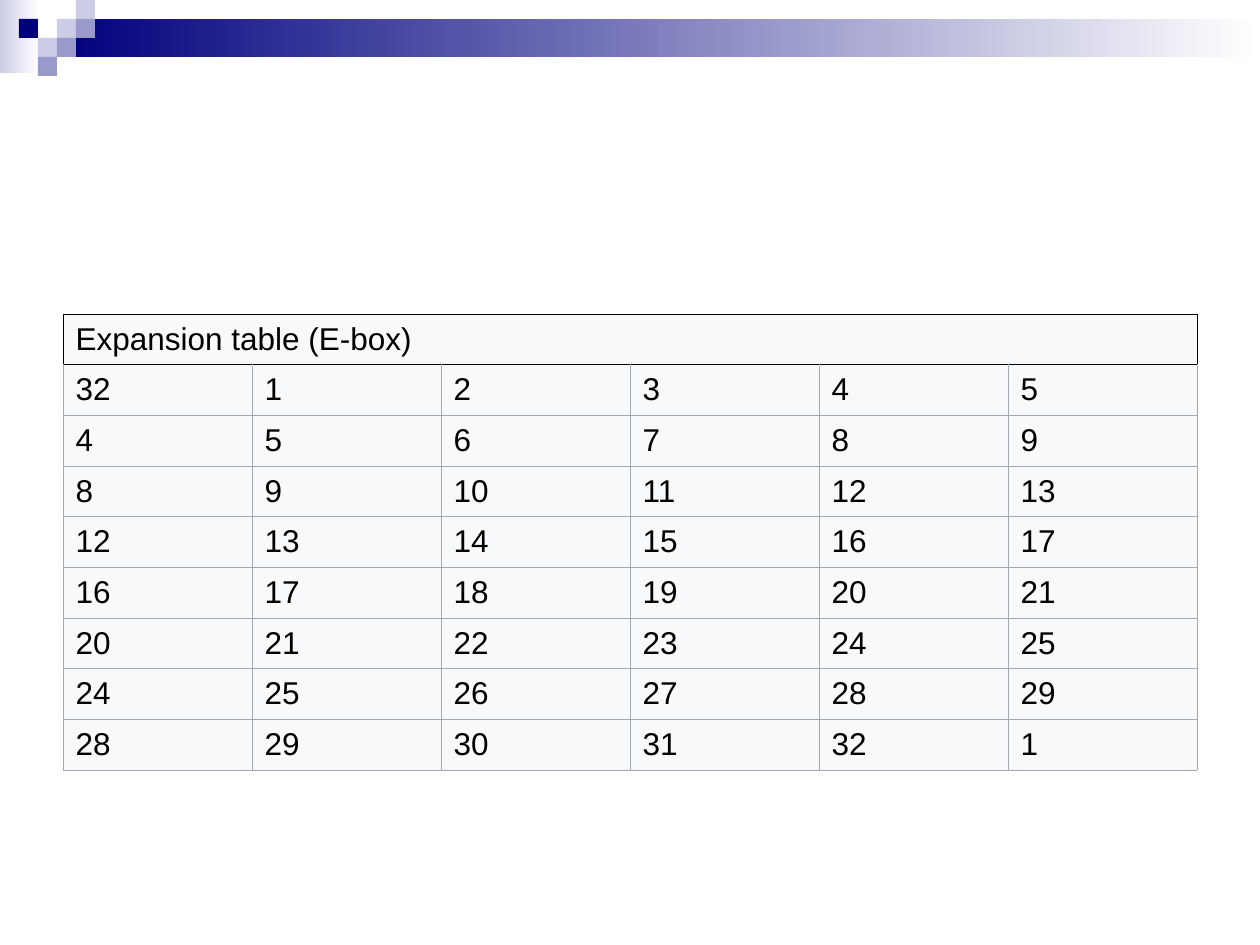
from lxml import etree
from pptx import Presentation
from pptx.dml.color import RGBColor
from pptx.enum.shapes import MSO_SHAPE
from pptx.enum.text import MSO_ANCHOR
from pptx.oxml.ns import qn
from pptx.util import Emu, Pt

RECT = MSO_SHAPE.RECTANGLE
MIDDLE = MSO_ANCHOR.MIDDLE
PX = 914400 / 126
NAVY, BLUE, PALE, WHITE = "00007D", "9999CC", "CCCCE6", "FFFFFF"
GREY, BLACK, CELL = "A2A9B1", "000000", "F8F9FA"
ROWS, COLS = 9, 6
UNIT = 19


def px(*sizes):
    """Turn pixel lengths into EMU."""
    return [Emu(round(size * PX)) for size in sizes]


def color(code):
    return RGBColor.from_string(code)


prs = Presentation()
prs.slide_width, prs.slide_height = px(1260, 945)
slide = prs.slides.add_slide(prs.slide_layouts[6])
shapes = slide.shapes

# Header decoration: two fading bars, then squares on a grid
blocks = [
    (0, 0, 39, 73, PALE, True),
    (3 * UNIT, UNIT, 1203, 2 * UNIT, NAVY, True),
]
squares = [(3, 1, PALE), (4, 0, PALE), (4, 1, BLUE), (2, 2, PALE),
           (1, 1, NAVY), (3, 2, BLUE), (2, 3, BLUE)]
for col, row, code in squares:
    blocks.append((col * UNIT, row * UNIT, UNIT, UNIT, code, False))

for x, y, width, height, code, fades in blocks:
    block = shapes.add_shape(RECT, *px(x, y, width, height))
    block.shadow.inherit = False
    block.line.fill.background()
    if fades:
        block.fill.gradient()
        block.fill.gradient_angle = 0
        for stop, tint in zip(block.fill.gradient_stops, (code, WHITE)):
            stop.color.rgb = color(tint)
    else:
        block.fill.solid()
        block.fill.fore_color.rgb = color(code)

# Expansion table: each row starts four bits on and wraps at 32
table = shapes.add_table(ROWS, COLS, *px(63, 314, 1134, 456)).table
table.first_row = False
table.horz_banding = False
table.cell(0, 0).merge(table.cell(0, COLS - 1))

for row in range(ROWS):
    for col in range(COLS):
        cell = table.cell(row, col)
        props = cell._tc.get_or_add_tcPr()
        for side in "LRTB":
            dark = row == 0 or (row == 1 and side == "T")
            width = Pt(0.45 if dark else 0.34)
            line = etree.SubElement(props, qn("a:ln" + side), w=str(width))
            fill = etree.SubElement(line, qn("a:solidFill"))
            etree.SubElement(fill, qn("a:srgbClr"), val=BLACK if dark else GREY)
        cell.fill.solid()
        cell.fill.fore_color.rgb = color(CELL)
        cell.vertical_anchor = MIDDLE
        if cell.is_spanned:
            continue
        bit = (4 * (row - 1) + col - 1) % 32 + 1
        run = cell.text_frame.paragraphs[0].add_run()
        run.text = str(bit) if row else "Expansion table (E-box)"
        run.font.name = "Arial"
        run.font.size = Pt(18)
        run.font.color.rgb = color(BLACK)

prs.save("out.pptx")
